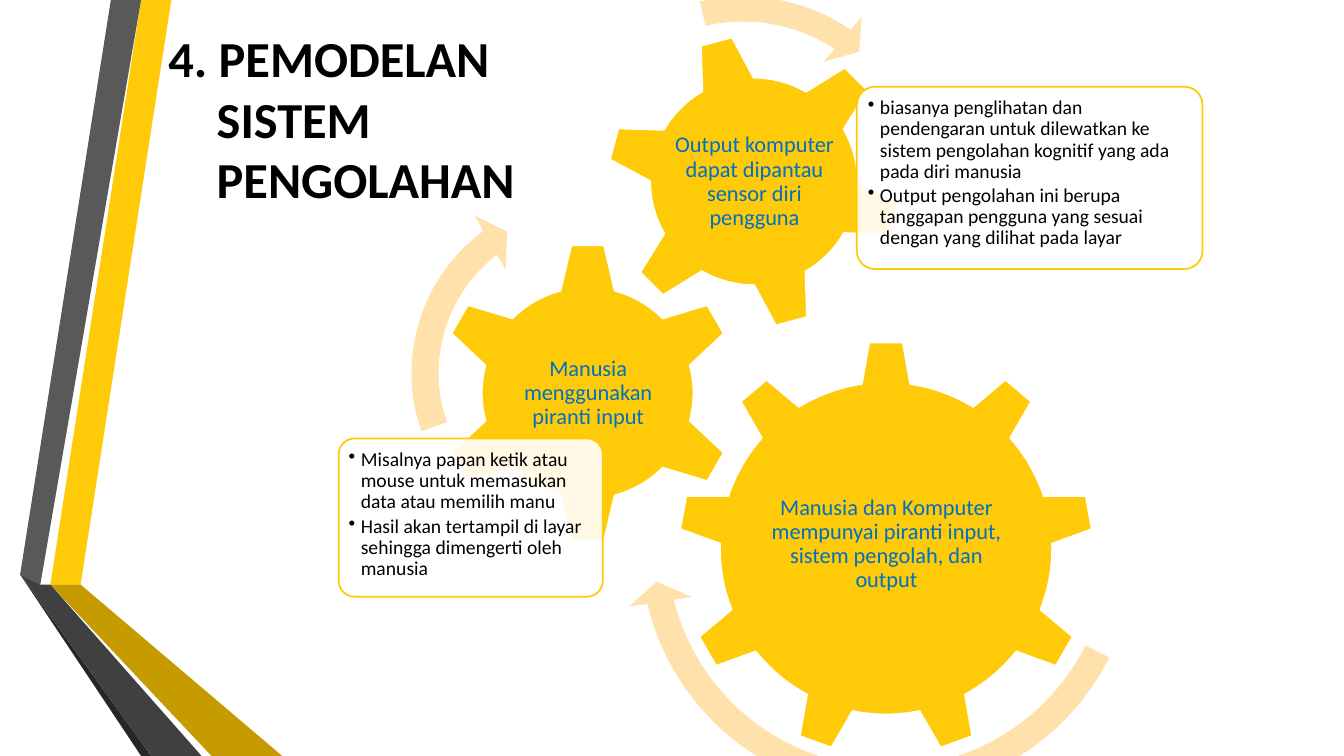
from dataclasses import dataclass

from lxml import etree
from pptx import Presentation
from pptx.dml.color import RGBColor
from pptx.enum.shapes import MSO_SHAPE
from pptx.enum.text import MSO_ANCHOR, MSO_AUTO_SIZE, PP_ALIGN
from pptx.oxml.ns import qn
from pptx.util import Emu, Inches, Pt

LEFT, CENTER = PP_ALIGN.LEFT, PP_ALIGN.CENTER
TOP, MIDDLE = MSO_ANCHOR.TOP, MSO_ANCHOR.MIDDLE
GEAR_6, GEAR_9 = MSO_SHAPE.GEAR_6, MSO_SHAPE.GEAR_9
ROUNDED = MSO_SHAPE.ROUNDED_RECTANGLE
ARROW, LEFT_ARROW = MSO_SHAPE.CIRCULAR_ARROW, MSO_SHAPE.LEFT_CIRCULAR_ARROW
NO_AUTO_SIZE = MSO_AUTO_SIZE.NONE

YELLOW = RGBColor(0xFF, 0xCA, 0x08)
OCHRE = RGBColor(0xC5, 0x9B, 0x00)
BROWN = RGBColor(0x84, 0x67, 0x00)
PEACH = RGBColor(0xFF, 0xE1, 0xAB)
GREY = RGBColor(0x59, 0x59, 0x59)
DARK_GREY = RGBColor(0x40, 0x40, 0x40)
CHARCOAL = RGBColor(0x26, 0x26, 0x26)
BLUE = RGBColor(0x00, 0x70, 0xC0)
BLACK = RGBColor(0, 0, 0)
WHITE = RGBColor(0xFF, 0xFF, 0xFF)

FONT = "Calibri"
CELL = Inches(0.1)
COLUMNS, ROWS = 133.33, 75
Box = tuple[float, float, float, float]


@dataclass(frozen=True)
class Ribbon:
    """A coloured polygon, its corners in columns and rows."""
    color: RGBColor
    corners: tuple[tuple[float, float], ...]


@dataclass(frozen=True)
class Gear:
    """A gear with its upright label."""
    kind: MSO_SHAPE
    box: Box
    label_box: Box
    label: str
    rotation: float = 0


@dataclass(frozen=True)
class Note:
    """A rounded panel with its bulleted text."""
    box: Box
    text_box: Box
    bullets: tuple[str, ...]


@dataclass(frozen=True)
class TurnArrow:
    """A curved arrow around a gear."""
    kind: MSO_SHAPE
    box: Box
    rotation: float
    adjustments: tuple[float, ...]
    flipped: bool = False


RIBBONS = (
    Ribbon(YELLOW, ((5, 57.8), (7.7, 58.3), (17.3, 0), (14.5, 0))),
    Ribbon(GREY, ((13.9, 0), (11.1, 0), (1.6, 57.3), (4.4, 57.7))),
    Ribbon(CHARCOAL, ((1.6, 57.3), (14.5, ROWS), (15.1, ROWS))),
    Ribbon(BROWN, ((5, 57.9), (20.8, ROWS), (21.4, ROWS))),
    Ribbon(OCHRE, ((5, 57.9), (21.4, ROWS), (28.3, ROWS), (7.7, 58.3), (5, 57.8))),
    Ribbon(DARK_GREY, ((20.2, ROWS), (4.8, 58.3), (4.4, 57.7), (1.6, 57.3), (15.1, ROWS))),
)

DIAGRAM = (
    Gear(GEAR_9, (67.3, 33.8, 41.2, 41.2), (75.6, 43.4, 24.7, 21.2),
         "Manusia dan Komputer mempunyai piranti input, sistem pengolah, dan output"),
    Gear(GEAR_6, (43.3, 24, 30, 30), (50.9, 31.6, 14.9, 14.8),
         "Manusia menggunakan piranti input"),
    Note((33.6, 43.5, 26.2, 15.7), (34, 44, 25.3, 14.8), (
        "Misalnya papan ketik atau mouse untuk memasukan data atau memilih manu",
        "Hasil akan tertampil di layar sehingga dimengerti oleh manusia")),
    Gear(GEAR_6, (60.1, 3.3, 29.4, 29.4), (66.6, 9.8, 16.5, 16.5),
         "Output komputer dapat dipantau sensor diri pengguna", 345),
    Note((85, 8.6, 34.3, 18.1), (85.5, 9.1, 33.2, 17), (
        "biasanya penglihatan dan pendengaran untuk dilewatkan ke sistem pengolahan "
        "kognitif yang ada pada diri manusia",
        "Output pengolahan ini berupa tanggapan pengguna yang sesuai dengan yang "
        "dilihat pada layar")),
    TurnArrow(ARROW, (61.7, 27.8, 52.8, 52.8), 123.7, (0.05, 2.99, 25.57, 157.77, 0.06)),
    TurnArrow(LEFT_ARROW, (39.1, 17.8, 38.4, 38.4), 48,
              (0.07, 4.3, 104.89, 148.38, 0.08), flipped=True),
    TurnArrow(ARROW, (53, -2, 41.4, 41.4), 81.9, (0.06, 3.94, 133.14, 105.08, 0.07)),
)


def place(box: Box) -> tuple[Emu, ...]:
    """Turn columns and rows into slide lengths."""
    return tuple(Emu(round(value * CELL)) for value in box)


def paint(shape, fill: RGBColor, line: RGBColor | None = None) -> None:
    """Give a shape a flat fill and an optional outline."""
    shape.shadow.inherit = False
    shape.fill.solid()
    shape.fill.fore_color.rgb = fill
    if line is None:
        shape.line.fill.background()
    else:
        shape.line.color.rgb = line
        shape.line.width = Pt(1.25)


def indent(paragraph, inches: float, bullet: str = "") -> None:
    """Set a hanging indent and an optional bullet."""
    properties = paragraph._p.get_or_add_pPr()
    properties.set("marL", str(Inches(inches)))
    properties.set("indent", str(-Inches(inches)))
    if bullet:
        etree.SubElement(properties, qn("a:buChar")).set("char", bullet)


def write(shape, texts: tuple[str, ...], *, size: int, color: RGBColor,
          align: PP_ALIGN = LEFT, anchor: MSO_ANCHOR = TOP, bold: bool = False,
          spacing: float = 1, after: float = 0, margins: tuple[float, float] = (0.1, 0.05),
          hanging: float = 0, bullet: str = "") -> None:
    """Fill a shape with formatted paragraphs."""
    frame = shape.text_frame
    frame.word_wrap = True
    frame.auto_size = NO_AUTO_SIZE
    frame.vertical_anchor = anchor
    frame.margin_left = frame.margin_right = Inches(margins[0])
    frame.margin_top = frame.margin_bottom = Inches(margins[1])
    for index, text in enumerate(texts):
        paragraph = frame.add_paragraph() if index else frame.paragraphs[0]
        paragraph.text = text
        paragraph.alignment = align
        paragraph.line_spacing = spacing
        paragraph.space_before = Pt(0)
        paragraph.space_after = Pt(after)
        indent(paragraph, hanging, bullet)
        for run in paragraph.runs:
            run.font.name = FONT
            run.font.size = Pt(size)
            run.font.bold = bold
            run.font.color.rgb = color


def draw_ribbon(slide, ribbon: Ribbon) -> None:
    """Draw one polygon of the side decoration."""
    builder = slide.shapes.build_freeform(*ribbon.corners[0], scale=CELL)
    builder.add_line_segments(ribbon.corners[1:], close=True)
    paint(builder.convert_to_shape(), ribbon.color)


def draw_gear(slide, gear: Gear) -> None:
    """Draw a gear and its label."""
    shape = slide.shapes.add_shape(gear.kind, *place(gear.box))
    shape.rotation = gear.rotation
    paint(shape, YELLOW, WHITE)
    write(slide.shapes.add_textbox(*place(gear.label_box)), (gear.label,), size=16,
          color=BLUE, align=CENTER, anchor=MIDDLE, spacing=0.9, after=5.6,
          margins=(0.02, 0.02))


def draw_note(slide, note: Note) -> None:
    """Draw a translucent panel and its bullets."""
    panel = slide.shapes.add_shape(ROUNDED, *place(note.box))
    panel.adjustments[0] = 0.1
    paint(panel, WHITE, YELLOW)
    color = panel._element.spPr.find(qn("a:solidFill")).find(qn("a:srgbClr"))
    etree.SubElement(color, qn("a:alpha")).set("val", "90000")
    write(slide.shapes.add_textbox(*place(note.text_box)), note.bullets, size=14,
          color=BLACK, spacing=0.9, after=2.1, margins=(0.06, 0.06), hanging=0.12, bullet="•")


def draw_arrow(slide, arrow: TurnArrow) -> None:
    """Draw a curved arrow."""
    shape = slide.shapes.add_shape(arrow.kind, *place(arrow.box))
    shape.rotation = arrow.rotation
    for index, value in enumerate(arrow.adjustments):
        shape.adjustments[index] = value
    if arrow.flipped:
        shape._element.spPr.find(qn("a:xfrm")).set("flipV", "1")
    paint(shape, PEACH)


def main() -> None:
    """Build the slide and save it."""
    presentation = Presentation()
    presentation.slide_width, presentation.slide_height = place((COLUMNS, ROWS))
    slide = presentation.slides.add_slide(presentation.slide_layouts[5])
    title = slide.shapes.title
    title.left, title.top, title.width, title.height = place((15.7, 2.1, 109.6, 19.2))
    write(title, ("4. PEMODELAN \vSISTEM \vPENGOLAHAN",), size=36, color=BLACK,
          anchor=MIDDLE, bold=True, hanging=0.48)
    for ribbon in RIBBONS:
        draw_ribbon(slide, ribbon)
    painters = {Gear: draw_gear, Note: draw_note, TurnArrow: draw_arrow}
    for item in DIAGRAM:
        painters[type(item)](slide, item)
    presentation.save("out.pptx")


if __name__ == "__main__":
    main()
